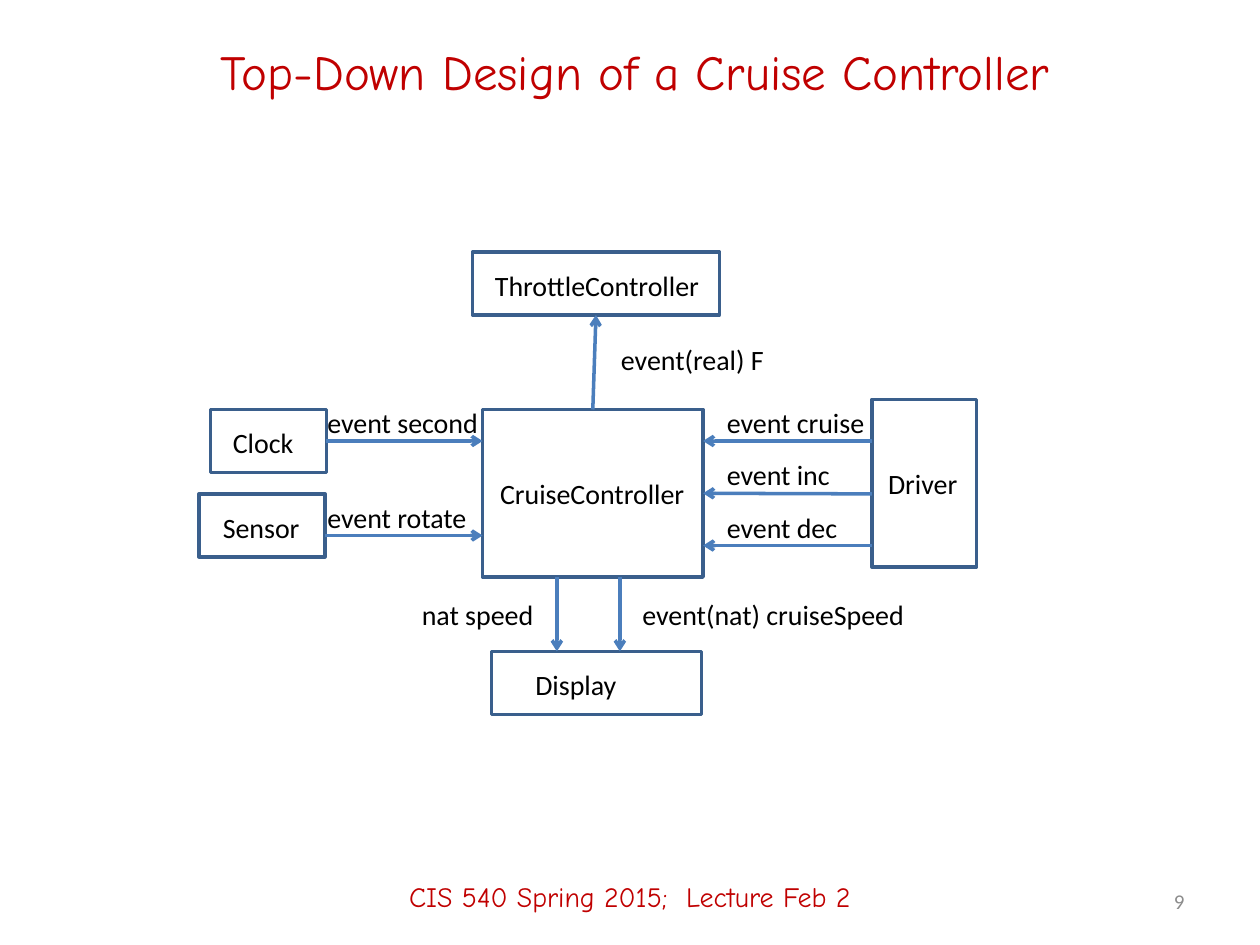
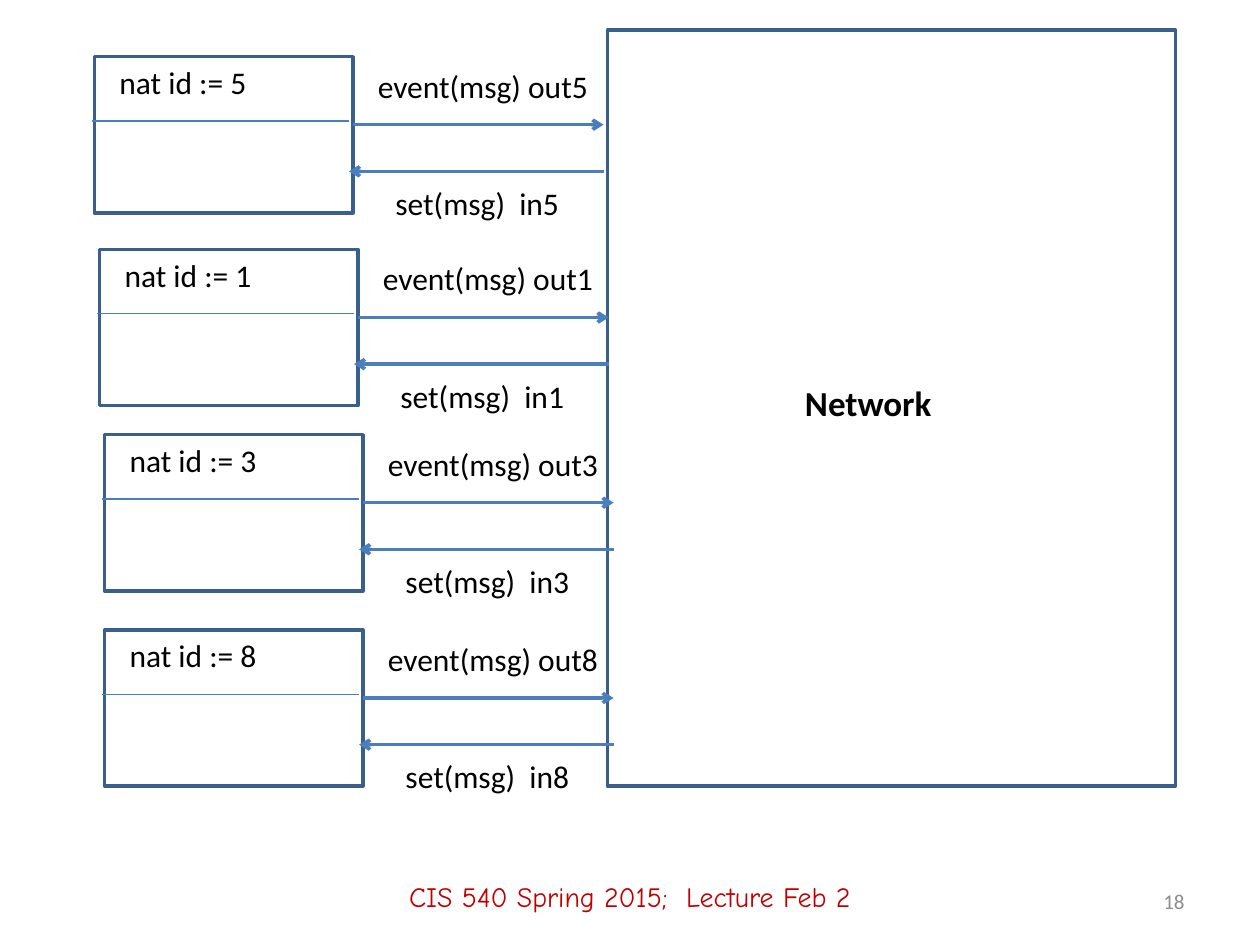
"""Builds two lecture slides: a cruise controller design and a network of nodes."""
import lxml.etree
import pptx
import pptx.util
import pptx.dml.color
import pptx.enum.shapes
import pptx.enum.text
import pptx.oxml.ns

BLACK, RED, GREY = "000000", "C00000", "8C8C8C"
EDGE, LINK = "3A5F8C", "4B7EBC"
BODY, HAND = "Calibri", "Comic Neue"

TITLE = "Top-Down Design of a Cruise Controller"
FOOT = "CIS 540 Spring 2015;  Lecture Feb 2"

# name: box area, label area, label wraps
PARTS = {
    "CruiseController": ((3.83, 3.25, 1.75, 1.33), (3.87, 3.73, 1.68, 0.37), False),
    "Driver": ((6.92, 3.17, 0.83, 1.33), (6.95, 3.65, 0.76, 0.37), False),
    "Clock": ((1.67, 3.25, 0.92, 0.5), (1.75, 3.33, 0.8, 0.37), True),
    "Sensor": ((1.58, 3.92, 1, 0.5), (1.67, 4, 0.87, 0.37), True),
    "Display": ((3.9, 5.17, 1.67, 0.5), (4.15, 5.25, 1.45, 0.37), True),
    "ThrottleController": ((3.75, 2, 1.96, 0.5), (3.83, 2.08, 1.92, 0.37), True),
}

# label, label area, label wraps, from, to, joined start, joined end
FLOWS = [
    ("event second", (2.5, 3.17, 1.41, 0.37), False,
     (2.58, 3.5), (3.83, 3.5), ("Clock", 3), None),
    ("event rotate", (2.5, 3.92, 1.32, 0.37), False,
     (2.58, 4.25), (3.83, 4.25), None, None),
    ("event cruise", (5.67, 3.17, 1.42, 0.37), True,
     (6.92, 3.5), (5.58, 3.5), None, None),
    ("event inc", (5.67, 3.58, 1.42, 0.37), True,
     (6.92, 3.92), (5.58, 3.92), None, ("CruiseController", 3)),
    ("event dec", (5.67, 4, 1.42, 0.37), True,
     (6.92, 4.33), (5.58, 4.33), None, None),
    ("nat speed", (3.25, 4.69, 1.1, 0.37), False,
     (4.42, 4.58), (4.42, 5.17), None, None),
    ("event(nat) cruiseSpeed", (5, 4.69, 2.29, 0.37), True,
     (4.92, 4.58), (4.92, 5.17), None, None),
    ("event(real) F", (4.83, 2.67, 2.58, 0.37), True,
     (4.74, 3.25), (4.76, 2.5), ("CruiseController", 0), ("ThrottleController", 2)),
]

# id, left, top
NODES = [(5, 0.75, 0.45), (1, 0.79, 1.98), (3, 0.83, 3.45), (8, 0.83, 5)]
NODE_W, NODE_H = 2.05, 1.24
NET = (4.82, 0.24, 4.51, 6)


def inches(vals):
    return [pptx.util.Inches(v) for v in vals]


def color(code):
    return pptx.dml.color.RGBColor.from_string(code)


def text(slide, words, area, size=16, font=BODY, fill=BLACK, bold=False,
         align="LEFT", anchor="TOP", wrap=True):
    frame = slide.shapes.add_textbox(*inches(area)).text_frame
    frame.word_wrap = wrap
    frame.vertical_anchor = getattr(pptx.enum.text.MSO_ANCHOR, anchor)
    para = frame.paragraphs[0]
    para.alignment = getattr(pptx.enum.text.PP_ALIGN, align)
    run = para.add_run()
    run.text = words
    run.font.name, run.font.size, run.font.bold = font, pptx.util.Pt(size), bold
    run.font.color.rgb = color(fill)


def box(slide, area):
    rect = slide.shapes.add_shape(pptx.enum.shapes.MSO_SHAPE.RECTANGLE, *inches(area))
    rect.shadow.inherit = False
    rect.fill.background()
    rect.line.color.rgb = color(EDGE)
    rect.line.width = pptx.util.Pt(2)
    return rect


def link(slide, start, end, width=2, arrow=True):
    line = slide.shapes.add_connector(
        pptx.enum.shapes.MSO_CONNECTOR.STRAIGHT, *inches(start + end))
    line.line.color.rgb = color(LINK)
    line.line.width = pptx.util.Pt(width)
    qn = pptx.oxml.ns.qn
    props = line.element.find(qn("p:spPr"))
    if arrow:
        lxml.etree.SubElement(props.find(qn("a:ln")), qn("a:tailEnd"), type="arrow")
    lxml.etree.SubElement(props, qn("a:effectLst"))
    return line


def page(deck, num):
    slide = deck.slides.add_slide(deck.slide_layouts[6])
    text(slide, FOOT, (0, 6.72, 10, 0.78), font=HAND, fill=RED,
         align="CENTER", anchor="MIDDLE")
    text(slide, str(num), (7.17, 6.95, 2.33, 0.4), size=12, fill=GREY,
         align="RIGHT", anchor="MIDDLE")
    return slide


def cruise(deck):
    slide = page(deck, 9)
    text(slide, TITLE, (0.75, 0.17, 8.58, 0.78), size=28, font=HAND, fill=RED,
         align="CENTER", anchor="MIDDLE")
    rects = {}
    for name, (area, place, wrap) in PARTS.items():
        rects[name] = box(slide, area)
        text(slide, name, place, wrap=wrap)
    for words, place, wrap, start, end, tail, head in FLOWS:
        line = link(slide, start, end)
        if tail:
            line.begin_connect(rects[tail[0]], tail[1])
        if head:
            line.end_connect(rects[head[0]], head[1])
        text(slide, words, place, wrap=wrap)


def network(deck):
    slide = page(deck, 18)
    box(slide, NET)
    text(slide, "Network", (6.29, 2.98, 1.21, 0.44), size=20, bold=True, wrap=False)
    for num, x, y in NODES:
        right = x + NODE_W
        far = right + 1.99
        box(slide, (x, y, NODE_W, NODE_H))
        link(slide, (x - 0.02, y + 0.51), (right - 0.03, y + 0.51), 0.75, False)
        link(slide, (right, y + 0.54), (far, y + 0.54))
        link(slide, (far, y + 0.91), (right - 0.03, y + 0.91))
        text(slide, f"nat id := {num}", (x + 0.1, y, 1.23, 0.4), size=18, wrap=False)
        text(slide, f"event(msg) out{num}", (right + 0.1, y + 0.03, 1.89, 0.4),
             size=18, wrap=False)
        text(slide, f"set(msg)  in{num}", (right + 0.24, y + 0.96, 1.74, 0.4), size=18)


def main():
    deck = pptx.Presentation()
    deck.slide_width, deck.slide_height = inches((10, 7.5))
    cruise(deck)
    network(deck)
    deck.save("out.pptx")


if __name__ == "__main__":
    main()
